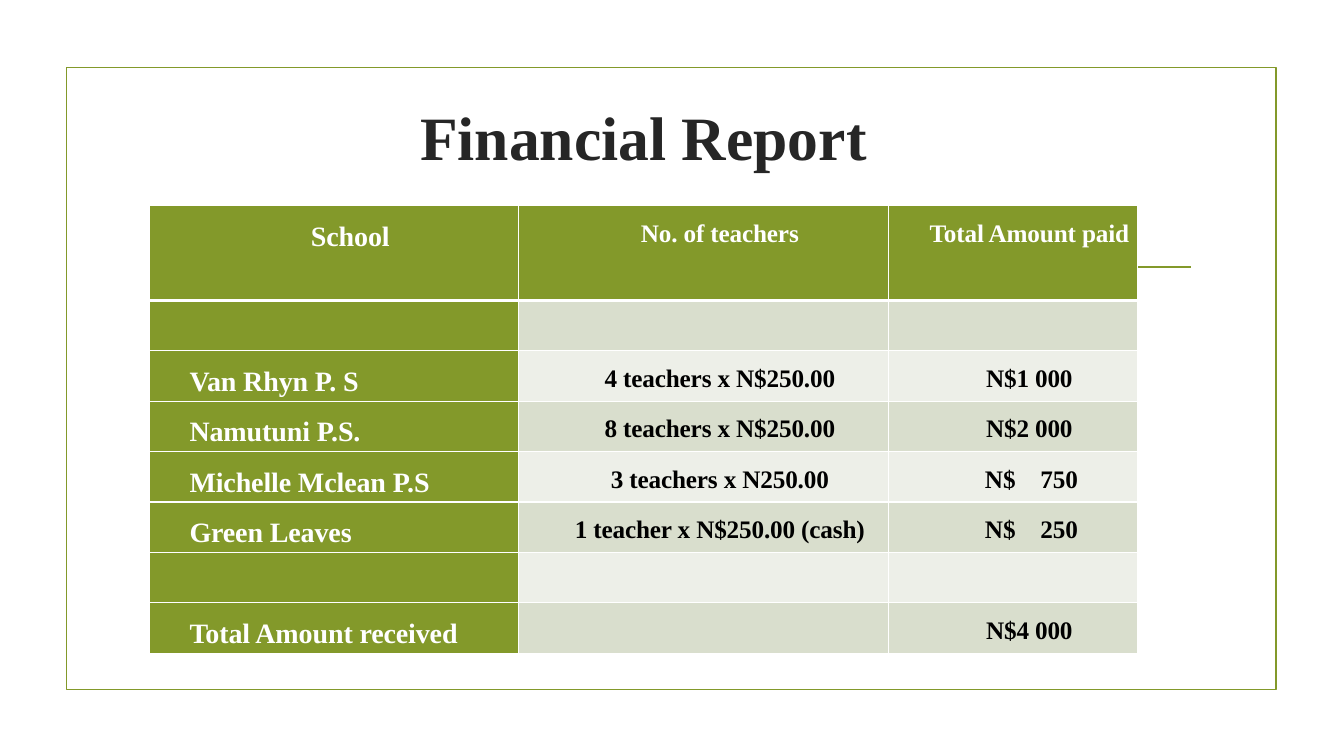
from dataclasses import dataclass

import lxml.etree
import pptx
import pptx.dml.color
import pptx.enum.shapes
import pptx.enum.text
import pptx.oxml.ns
import pptx.slide
import pptx.table
import pptx.text.text
import pptx.util

PX = 9144
FONT = "Times New Roman"
GREEN = pptx.dml.color.RGBColor(0x83, 0x99, 0x2A)
SAGE = pptx.dml.color.RGBColor(0xD9, 0xDE, 0xCD)
PALE = pptx.dml.color.RGBColor(0xED, 0xEF, 0xE8)
WHITE = pptx.dml.color.RGBColor(0xFF, 0xFF, 0xFF)
BLACK = pptx.dml.color.RGBColor(0, 0, 0)
DARK = pptx.dml.color.RGBColor(0x26, 0x26, 0x26)
LEFT = pptx.enum.text.PP_ALIGN.LEFT
CENTER = pptx.enum.text.PP_ALIGN.CENTER
WIDTHS = (366, 367, 247)
HEAD = 94
BODY = 50


@dataclass(frozen=True)
class Entry:
    school: str = ""
    count: str = ""
    paid: str = ""


ENTRIES = (
    Entry("School", "No. of teachers", "Total Amount paid"),
    Entry(),
    Entry("Van Rhyn P. S", "4 teachers x N$250.00", "N$1 000"),
    Entry("Namutuni P.S.", "8 teachers x N$250.00", "N$2 000"),
    Entry("Michelle Mclean P.S", "3 teachers x N250.00", "N$\t750"),
    Entry("Green Leaves", "1 teacher x N$250.00 (cash)", "N$\t250"),
    Entry(),
    Entry("Total Amount received", "", "N$4 000"),
)


def px(size: int) -> pptx.util.Emu:
    return pptx.util.Emu(size * PX)


def add(parent: lxml.etree._Element, tag: str, **attrs: str) -> lxml.etree._Element:
    child = lxml.etree.SubElement(parent, pptx.oxml.ns.qn(tag))
    for key, value in attrs.items():
        child.set(key, value)
    return child


def style(para: pptx.text.text._Paragraph, size: int, color: pptx.dml.color.RGBColor) -> None:
    for run in para.runs:
        run.font.name = FONT
        run.font.size = pptx.util.Pt(size)
        run.font.bold = True
        run.font.color.rgb = color


def edge(cell: pptx.table._Cell, head: bool) -> None:
    props = cell._tc.get_or_add_tcPr()
    for side in "LRTB":
        width = 3 if head and side == "B" else 1
        line = add(props, f"a:ln{side}", w=str(pptx.util.Pt(width)))
        add(add(line, "a:solidFill"), "a:srgbClr", val=str(WHITE))


def write(cell: pptx.table._Cell, text: str, row: int, col: int) -> None:
    cell.margin_left = cell.margin_right = px(7)
    cell.margin_top = cell.margin_bottom = px(0)
    cell.text_frame.text = text
    para = cell.text_frame.paragraphs[0]
    split = "\t" in text
    para.alignment = LEFT if split or (row and not col) else CENTER
    para.line_spacing = 1.5
    props = para._p.get_or_add_pPr()
    props.set("marL", "0")
    props.set("indent", str(px(89 if split else 33)))
    if split:
        add(add(props, "a:tabLst"), "a:tab", pos=str(px(139)), algn="l")
    style(para, 18 if col else 20, BLACK if row and col else WHITE)
    for run in para.runs:
        run._r.get_or_add_rPr().set("spc", "-10")


def frame(slide: pptx.slide.Slide) -> None:
    box = slide.shapes.add_shape(
        pptx.enum.shapes.MSO_SHAPE.RECTANGLE, px(66), px(67), px(1200), px(617)
    )
    box.shadow.inherit = False
    box.fill.background()
    rule = slide.shapes.add_connector(
        pptx.enum.shapes.MSO_CONNECTOR.STRAIGHT, px(153), px(265), px(1181), px(265)
    )
    add(rule._element.spPr, "a:effectLst")
    for item in (box, rule):
        item.line.color.rgb = GREEN
        item.line.width = pptx.util.Pt(1.25)


def report(slide: pptx.slide.Slide) -> None:
    count = len(ENTRIES)
    high = HEAD + BODY * (count - 1)
    table = slide.shapes.add_table(
        count, len(WIDTHS), px(148), px(204), px(sum(WIDTHS)), px(high)
    ).table
    table.first_row = table.horz_banding = False
    for column, width in zip(table.columns, WIDTHS):
        column.width = px(width)
    for row, entry in enumerate(ENTRIES):
        table.rows[row].height = px(BODY if row else HEAD)
        for col, text in enumerate((entry.school, entry.count, entry.paid)):
            cell = table.cell(row, col)
            edge(cell, row == 0)
            cell.fill.solid()
            band = SAGE if row % 2 else PALE
            cell.fill.fore_color.rgb = band if row and col else GREEN
            if text:
                write(cell, text, row, col)


def title(slide: pptx.slide.Slide) -> None:
    text = slide.shapes.add_textbox(px(406), px(90), px(465), px(90)).text_frame
    text.word_wrap = True
    text.margin_left = text.margin_right = px(0)
    text.vertical_anchor = pptx.enum.text.MSO_ANCHOR.MIDDLE
    text.text = "Financial Report"
    para = text.paragraphs[0]
    para.alignment = CENTER
    style(para, 44, DARK)


def main() -> None:
    deck = pptx.Presentation()
    deck.slide_width = px(1333)
    deck.slide_height = px(750)
    slide = deck.slides.add_slide(deck.slide_layouts[6])
    frame(slide)
    report(slide)
    title(slide)
    deck.save("out.pptx")


if __name__ == "__main__":
    main()
